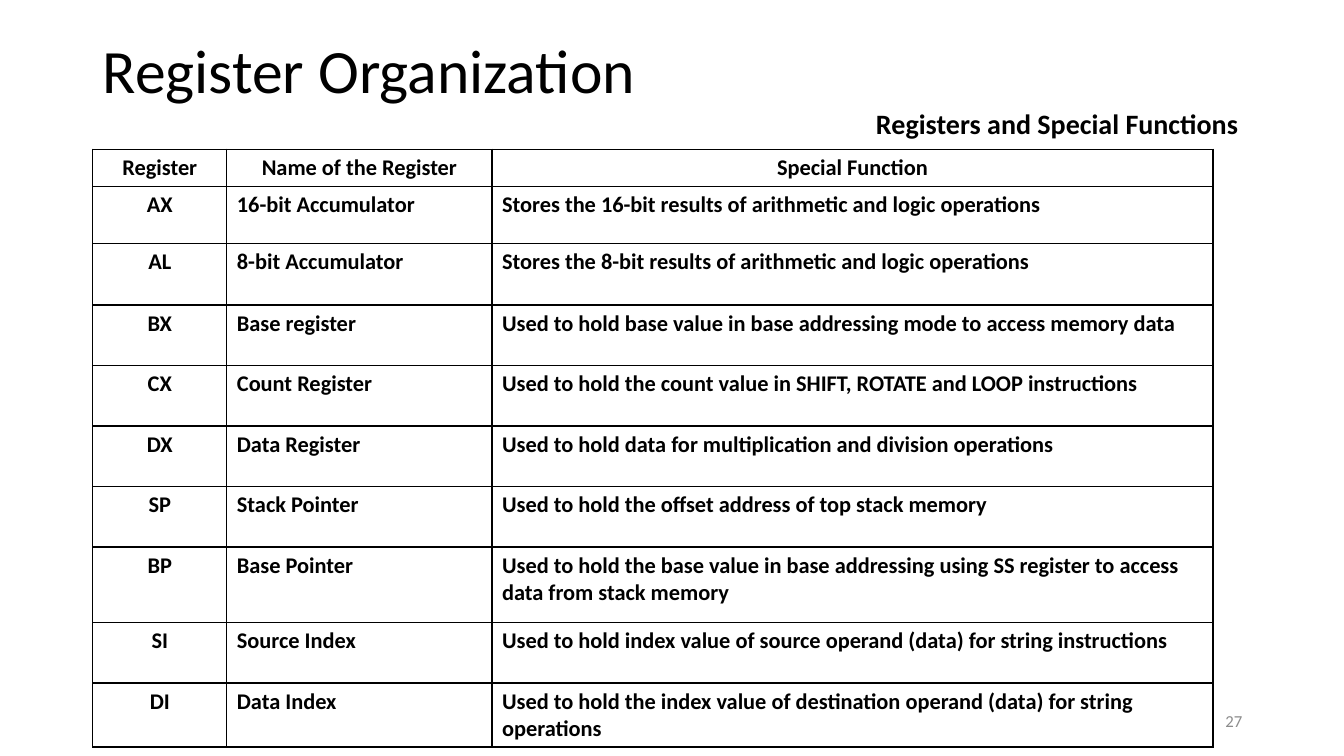
import dataclasses

import pptx
import pptx.dml.color
import pptx.enum.text
import pptx.oxml
import pptx.oxml.ns
import pptx.util

Inches = pptx.util.Inches
ALIGN = pptx.enum.text.PP_ALIGN
ANCHOR = pptx.enum.text.MSO_ANCHOR
AUTO_SIZE = pptx.enum.text.MSO_AUTO_SIZE


@dataclasses.dataclass(frozen=True)
class Theme:
    font: str = "Calibri"
    text: str = "000000"
    muted: str = "8C8C8C"
    border: str = "000000"
    border_width: float = 1
    title_size: int = 44
    caption_size: int = 20
    cell_size: int = 16
    number_size: int = 12


HEADER = ("Register", "Name of the Register", "Special Function")
REGISTERS = [
    ("AX", "16-bit Accumulator", "Stores the 16-bit results of arithmetic and logic operations"),
    ("AL", "8-bit Accumulator", "Stores the 8-bit results of arithmetic and logic operations"),
    ("BX", "Base register", "Used to hold base value in base addressing mode to access memory data"),
    ("CX", "Count Register", "Used to hold the count value in SHIFT, ROTATE and LOOP instructions"),
    ("DX", "Data Register", "Used to hold data for multiplication and division operations"),
    ("SP", "Stack Pointer", "Used to hold the offset address of top stack memory"),
    ("BP", "Base Pointer", "Used to hold the base value in base addressing using SS register "
                           "to access data from stack memory"),
    ("SI", "Source Index", "Used to hold index value of source operand (data) for string instructions"),
    ("DI", "Data Index", "Used to hold the index value of destination operand (data) for string operations"),
]
COLUMN_WIDTHS = (1.33, 2.63, 7.15)
ROW_HEIGHTS = (0.35, 0.57, 0.61, 0.6, 0.6, 0.6, 0.6, 0.75, 0.6, 0.61)


class SlideBuilder:
    def __init__(self, prs, theme):
        self.theme = theme
        self.s = prs.slides.add_slide(prs.slide_layouts[5])  # title only

    def fill_text(self, tf, text, size, color=None, bold=False, align=ALIGN.LEFT, spacing=None):
        p = tf.paragraphs[0]
        p.alignment = align
        p.line_spacing = spacing
        r = p.add_run()
        r.text = text
        formats = {"name": self.theme.font, "size": pptx.util.Pt(size), "bold": bold}
        for name, value in formats.items():
            setattr(r.font, name, value)
        r.font.color.rgb = pptx.dml.color.RGBColor.from_string(color or self.theme.text)

    def title(self, text, left, top, width, height):
        sp = self.s.shapes.title
        box = {"left": left, "top": top, "width": width, "height": height}
        for name, value in box.items():
            setattr(sp, name, Inches(value))
        sp.text_frame.auto_size = AUTO_SIZE.NONE
        sp.text_frame.vertical_anchor = ANCHOR.MIDDLE
        self.fill_text(sp.text_frame, text, self.theme.title_size, spacing=0.9)

    def text(self, text, box, size, wrap=True, anchor=ANCHOR.TOP, **style):
        tf = self.s.shapes.add_textbox(*map(Inches, box)).text_frame
        formats = {
            "word_wrap": wrap,
            "vertical_anchor": anchor,
            "auto_size": AUTO_SIZE.NONE if wrap else AUTO_SIZE.SHAPE_TO_FIT_TEXT,
        }
        for name, value in formats.items():
            setattr(tf, name, value)
        self.fill_text(tf, text, size, **style)

    def cell_borders(self, cell):
        tc_pr = cell._tc.get_or_add_tcPr()
        width = pptx.util.Pt(self.theme.border_width)
        for i, side in enumerate(("lnL", "lnR", "lnT", "lnB")):
            tc_pr.insert(i, pptx.oxml.parse_xml(
                f'<a:{side} {pptx.oxml.ns.nsdecls("a")} w="{width}"><a:solidFill>'
                f'<a:srgbClr val="{self.theme.border}"/></a:solidFill></a:{side}>'))

    def table(self, rows, left, top, widths, heights):
        frame = self.s.shapes.add_table(
            len(rows), len(widths), Inches(left), Inches(top),
            Inches(sum(widths)), Inches(sum(heights)))
        table = frame.table
        table.first_row = table.horz_banding = False
        for column, width in zip(table.columns, widths):
            column.width = Inches(width)
        for row, height in zip(table.rows, heights):
            row.height = Inches(height)
        for i, values in enumerate(rows):
            for j, value in enumerate(values):
                cell = table.cell(i, j)
                cell.fill.background()
                self.cell_borders(cell)
                # Header row and register codes are centred
                align = ALIGN.CENTER if i == 0 or j == 0 else ALIGN.LEFT
                self.fill_text(cell.text_frame, value, self.theme.cell_size, bold=True, align=align)


def main():
    prs = pptx.Presentation()
    prs.slide_width, prs.slide_height = Inches(13.33), Inches(7.5)
    theme = Theme()
    slide = SlideBuilder(prs, theme)

    # Title and caption
    slide.title("Register Organization", 0.92, 0, 11.5, 1.45)
    slide.text("Registers and Special Functions", (8.59, 1.01, 3.83, 0.44),
               theme.caption_size, wrap=False, bold=True)

    # Register table
    slide.table([HEADER, *REGISTERS], 0.92, 1.48, COLUMN_WIDTHS, ROW_HEIGHTS)

    # Slide number
    slide.text("27", (9.42, 6.95, 3, 0.4), theme.number_size, anchor=ANCHOR.MIDDLE,
               color=theme.muted, align=ALIGN.RIGHT)

    prs.save("out.pptx")


if __name__ == "__main__":
    main()
